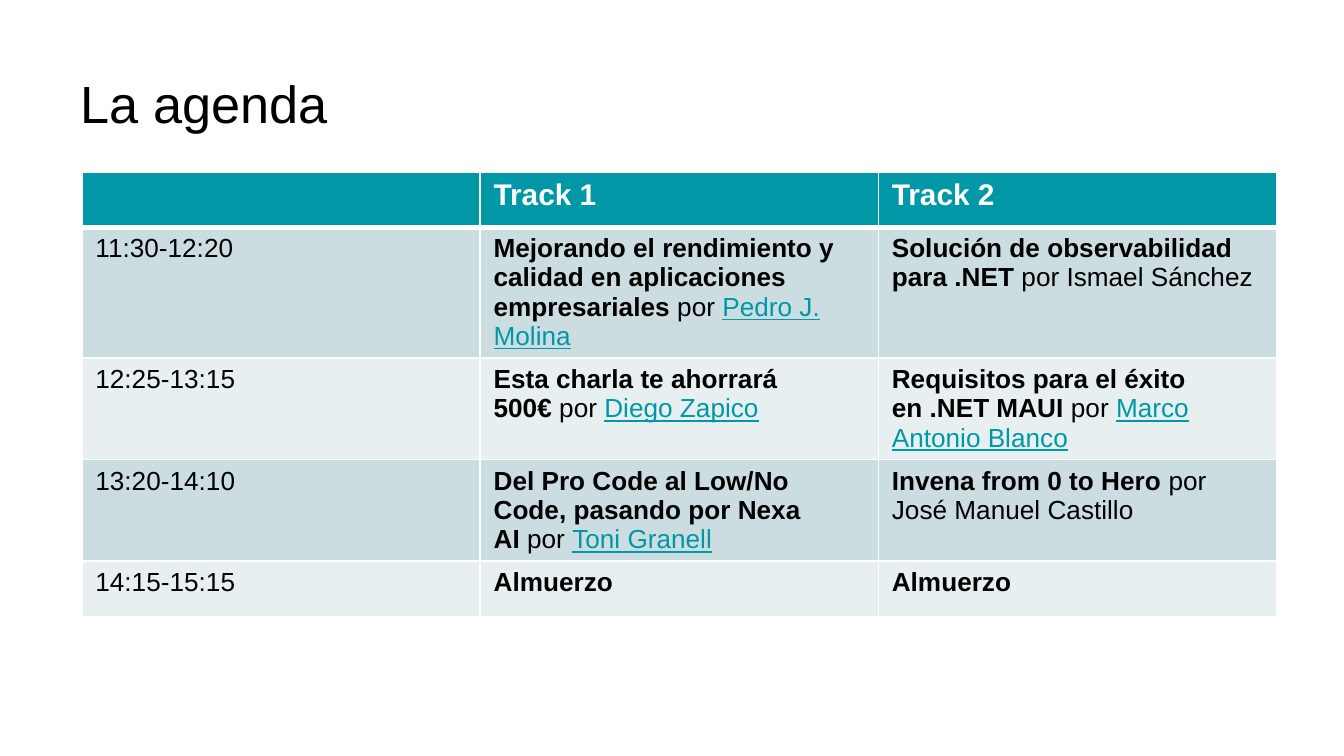
"""Build the agenda slide with its two-track timetable."""
from lxml import etree
from pptx import Presentation
from pptx.dml.color import RGBColor
from pptx.enum.text import MSO_ANCHOR, PP_ALIGN
from pptx.oxml.ns import qn
from pptx.util import Inches, Pt

LEFT = PP_ALIGN.LEFT
MIDDLE = MSO_ANCHOR.MIDDLE
BLACK = RGBColor(0x00, 0x00, 0x00)
WHITE = RGBColor(0xFF, 0xFF, 0xFF)
TEAL = RGBColor(0x00, 0x97, 0xA7)
BANDS = [RGBColor(0xCC, 0xDD, 0xE1), RGBColor(0xE7, 0xEF, 0xF1)]
NBSP = chr(160)
BY = f"{NBSP}por{NBSP}"

HEADERS = ["", "Track 1", "Track 2"]
SESSIONS = [
    ("11:30-12:20",
     ("Mejorando el rendimiento y calidad en aplicaciones empresariales", BY, "Pedro J. Molina"),
     ("Solución de observabilidad para .NET", f"{NBSP}por Ismael Sánchez", "")),
    ("12:25-13:15",
     ("Esta charla te ahorrará 500€", BY, "Diego Zapico"),
     (f"Requisitos para el éxito en .NET MAUI{NBSP}", f"por{NBSP}", "Marco Antonio Blanco")),
    ("13:20-14:10",
     ("Del Pro Code al Low/No Code, pasando por Nexa AI", BY, "Toni Granell"),
     (f"Invena from 0 to Hero{NBSP}", "por José Manuel Castillo", "")),
    ("14:15-15:15", ("Almuerzo", "", ""), ("Almuerzo", "", "")),
]


def add_run(p, text, size=14, color=BLACK, bold=False, underline=False):
    if not text:
        return
    r = p.add_run()
    r.text = text
    r.font.name = "Arial"
    r.font.size = Pt(size)
    r.font.color.rgb = color
    r.font.bold = bold
    r.font.underline = underline


def fill_cell(cell, color, bottom=1):
    cell.fill.solid()
    cell.fill.fore_color.rgb = color
    tc_pr = cell._tc.get_or_add_tcPr()
    widths = {"a:lnL": 1, "a:lnR": 1, "a:lnT": 1, "a:lnB": bottom}
    for i, (tag, width) in enumerate(widths.items()):
        ln = etree.Element(qn(tag), w=str(Pt(width)))
        fill = etree.SubElement(ln, qn("a:solidFill"))
        etree.SubElement(fill, qn("a:srgbClr"), val=str(WHITE))
        tc_pr.insert(i, ln)


prs = Presentation()
prs.slide_width = Inches(10)
prs.slide_height = prs.slide_width * 9 // 16
s = prs.slides.add_slide(prs.slide_layouts[5])

title = s.shapes.title
title.left, title.top = Inches(0.5), Inches(0.44)
title.width, title.height = Inches(9), Inches(0.64)
tf = title.text_frame
tf.margin_left = tf.margin_right = tf.margin_top = tf.margin_bottom = Inches(0.1)
tf.vertical_anchor = MIDDLE
tf.paragraphs[0].alignment = LEFT
add_run(tf.paragraphs[0], "La agenda", size=28)

rows, cols = len(SESSIONS) + 1, len(HEADERS)
table = s.shapes.add_table(
    rows, cols, Inches(0.61), Inches(1.28), Inches(8.89), Inches(0.41 * rows)
).table

for col, header in enumerate(HEADERS):
    cell = table.cell(0, col)
    fill_cell(cell, TEAL, bottom=3)
    add_run(cell.text_frame.paragraphs[0], header, size=16, color=WHITE, bold=True)

for row, (time, *talks) in enumerate(SESSIONS, start=1):
    for col in range(cols):
        fill_cell(table.cell(row, col), BANDS[(row - 1) % 2], bottom=1)
        if row == 1:
            table.cell(row, col)._tc.tcPr.find(qn("a:lnT")).set("w", str(Pt(3)))
    add_run(table.cell(row, 0).text_frame.paragraphs[0], time)
    for col, (talk, by, speaker) in enumerate(talks, start=1):
        p = table.cell(row, col).text_frame.paragraphs[0]
        add_run(p, talk, bold=True)
        add_run(p, by)
        add_run(p, speaker, color=TEAL, underline=True)

prs.save("out.pptx")
